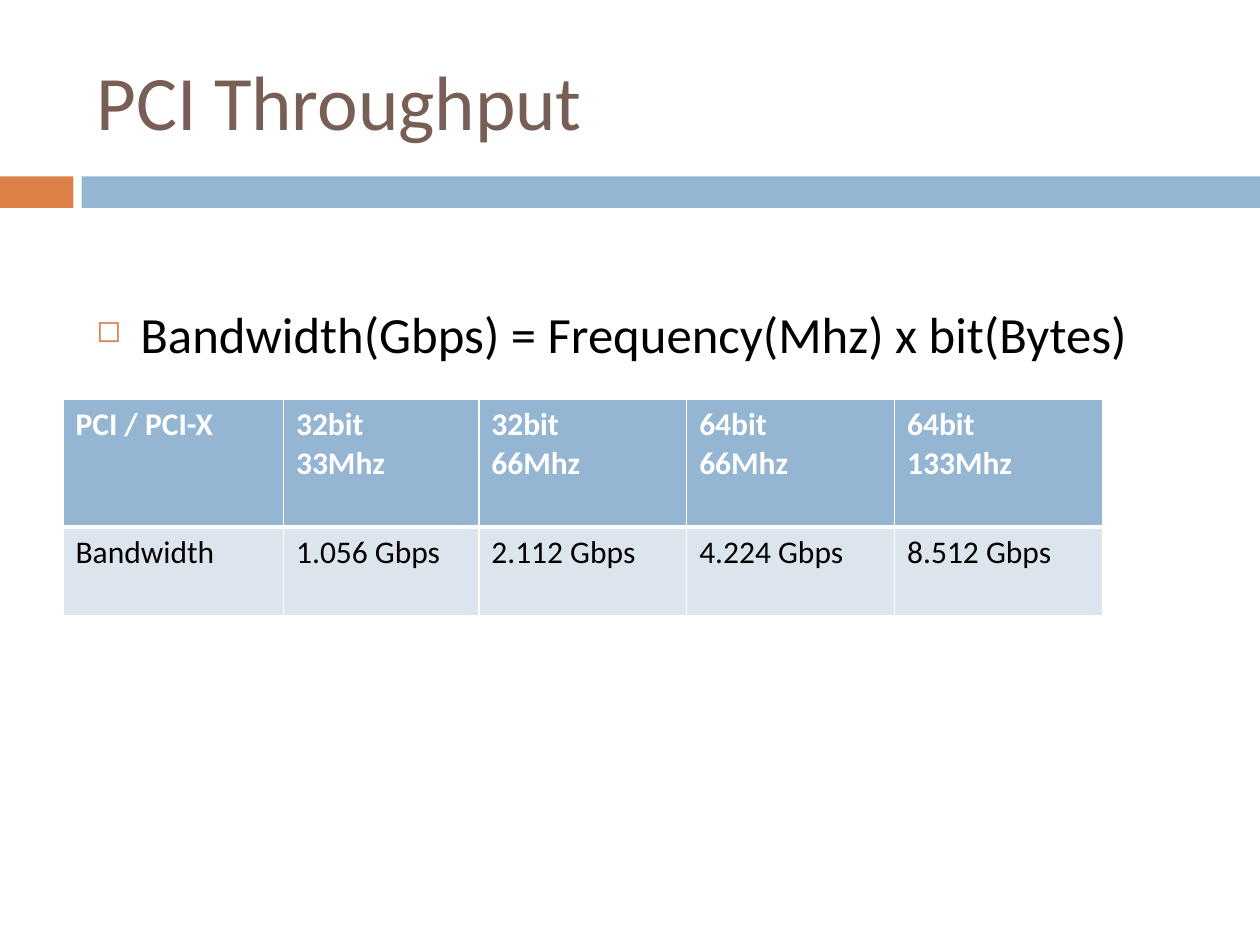
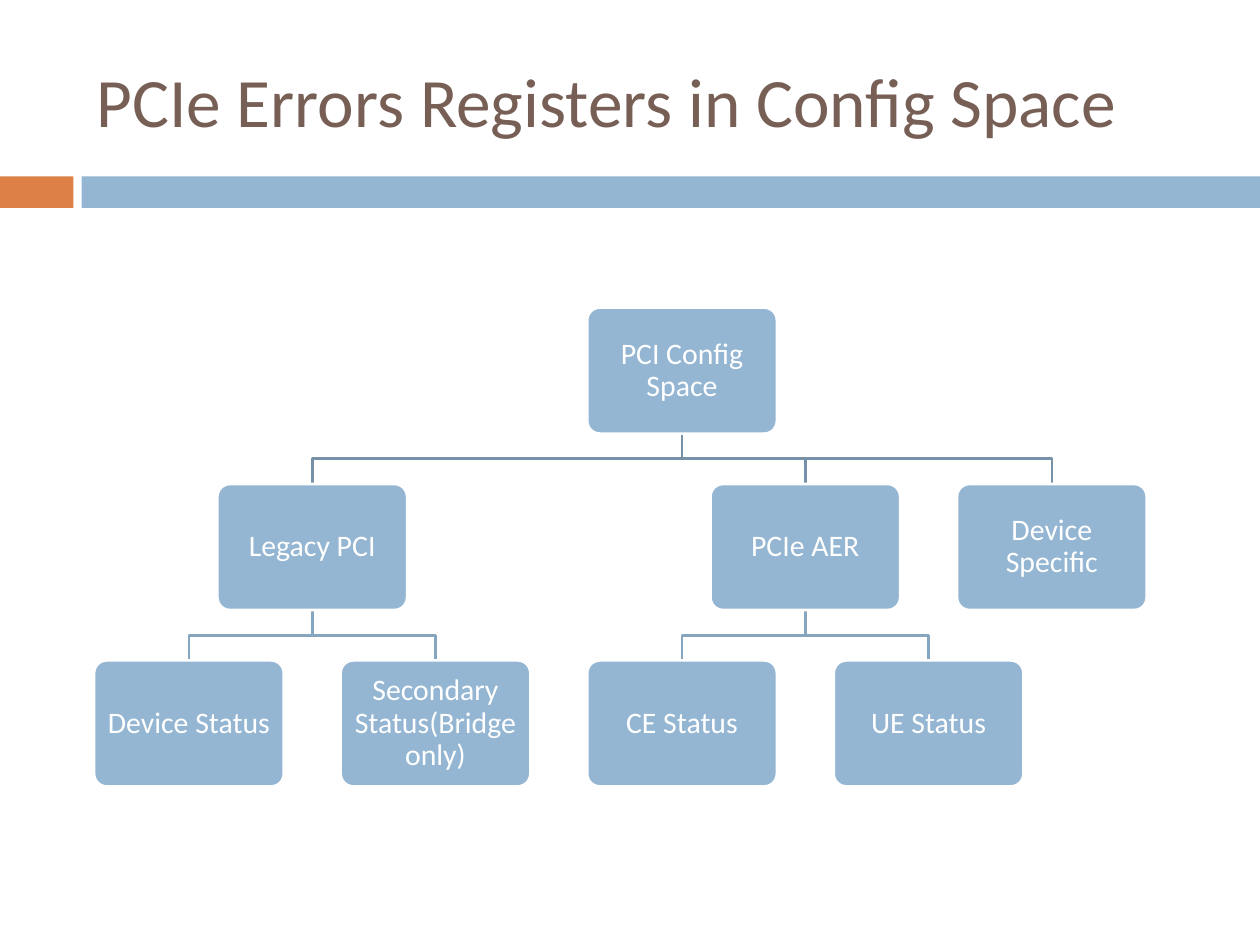
from lxml.etree import SubElement
from pptx import Presentation
from pptx.dml.color import RGBColor
from pptx.enum.shapes import MSO_SHAPE
from pptx.enum.text import MSO_ANCHOR, MSO_AUTO_SIZE, PP_ALIGN
from pptx.oxml import parse_xml
from pptx.oxml.ns import nsdecls, qn
from pptx.util import Pt

FONT = "Calibri"
BROWN, ORANGE, BLUE, PALE_BLUE = "775F55", "DD8047", "94B6D2", "DCE5EE"
WHITE, BLACK = "FFFFFF", "000000"
UPPER_LINK, LOWER_LINK = "7792A8", "86A5BF"

# Register tree: columns are counted in half pitches from the leftmost node
NODE_W, NODE_H = 108.4, 72
HALF_PITCH, LEVEL_STEP = 70.44, 100.8
TREE_X, TREE_TOP = 108, 175.8


def color(hex_value):
    return RGBColor.from_string(hex_value)


def style_text(paragraph, size, hex_value, bold=False):
    for run in paragraph.runs:
        font = run.font
        font.name, font.size, font.bold = FONT, Pt(size), bold
        font.color.rgb = color(hex_value)


def add_box(slide, kind, x, y, w, h, fill):
    box = slide.shapes.add_shape(kind, Pt(x), Pt(y), Pt(w), Pt(h))
    box.shadow.inherit = False
    box.fill.solid()
    box.fill.fore_color.rgb = color(fill)
    box.line.fill.background()
    return box


def add_titled_slide(deck, heading, size):
    slide = deck.slides.add_slide(deck.slide_layouts[5])
    # Bands under the title
    add_box(slide, MSO_SHAPE.RECTANGLE, 0, 100.8, 42, 18, ORANGE)
    add_box(slide, MSO_SHAPE.RECTANGLE, 46.6, 100.8, 673.4, 18, BLUE)
    # Title
    title = slide.shapes.title
    title.left, title.top, title.width, title.height = Pt(48), Pt(18), Pt(642), Pt(78)
    frame = title.text_frame
    frame.text = heading
    frame.auto_size = MSO_AUTO_SIZE.NONE
    frame.vertical_anchor = MSO_ANCHOR.MIDDLE
    frame.paragraphs[0].alignment = PP_ALIGN.LEFT
    style_text(frame.paragraphs[0], size, BROWN)
    return slide


def add_bullet_line(slide, text, x, y, w, h):
    frame = slide.shapes.add_textbox(Pt(x), Pt(y), Pt(w), Pt(h)).text_frame
    frame.word_wrap = True
    frame.text = text
    paragraph = frame.paragraphs[0]
    properties = paragraph._p.get_or_add_pPr()
    properties.set("marL", str(Pt(25.2)))
    properties.set("indent", str(-Pt(25.2)))
    bullet_color = SubElement(properties, qn("a:buClr"))
    SubElement(bullet_color, qn("a:srgbClr"), val=ORANGE)
    SubElement(properties, qn("a:buSzPct"), val="60000")
    SubElement(properties, qn("a:buChar"), char="◻")
    style_text(paragraph, 29, BLACK)


def set_borders(cell, widths):
    properties = cell._tc.get_or_add_tcPr()
    for position, (side, width) in enumerate(widths.items()):
        properties.insert(position, parse_xml(
            f'<a:ln{side} {nsdecls("a")} w="{Pt(width)}"><a:solidFill>'
            f'<a:srgbClr val="{WHITE}"/></a:solidFill></a:ln{side}>'))


def add_bandwidth_table(slide, rows, x, y, col_widths, row_heights):
    table = slide.shapes.add_table(
        len(rows), len(col_widths), Pt(x), Pt(y),
        Pt(sum(col_widths)), Pt(sum(row_heights))).table
    table.horz_banding = False
    for column, width in zip(table.columns, col_widths):
        column.width = Pt(width)
    for r, (values, height) in enumerate(zip(rows, row_heights)):
        header = r == 0
        table.rows[r].height = Pt(height)
        for c, value in enumerate(values):
            cell = table.cell(r, c)
            cell.text_frame.text = value
            cell.fill.solid()
            cell.fill.fore_color.rgb = color(BLUE if header else PALE_BLUE)
            set_borders(cell, {"L": 1, "R": 1, "T": 1, "B": 3 if header else 1})
            for paragraph in cell.text_frame.paragraphs:
                style_text(paragraph, 18, WHITE if header else BLACK, header)


def node_center(column):
    return TREE_X + column * HALF_PITCH


def add_link(slide, parent_column, child_column, level, line_color):
    """Draw the stepped line from a parent down to a child at the given level."""
    child_top = TREE_TOP + level * LEVEL_STEP
    parent_bottom = child_top - LEVEL_STEP + NODE_H
    middle = (parent_bottom + child_top) / 2
    start, end = node_center(parent_column), node_center(child_column)
    builder = slide.shapes.build_freeform(Pt(start), Pt(parent_bottom))
    builder.add_line_segments(
        [(Pt(start), Pt(middle)), (Pt(end), Pt(middle)), (Pt(end), Pt(child_top))],
        close=False)
    link = builder.convert_to_shape()
    link.shadow.inherit = False
    link.fill.background()
    link.line.color.rgb = color(line_color)
    link.line.width = Pt(1.5)


def add_node(slide, label, column, level):
    node = add_box(slide, MSO_SHAPE.ROUNDED_RECTANGLE,
                   node_center(column) - NODE_W / 2, TREE_TOP + level * LEVEL_STEP,
                   NODE_W, NODE_H, BLUE)
    node.adjustments[0] = 0.1
    node.line.color.rgb = color(WHITE)
    node.line.width = Pt(1.5)
    frame = node.text_frame
    frame.word_wrap = True
    frame.margin_left = frame.margin_right = Pt(4.8)
    frame.margin_top = frame.margin_bottom = Pt(4.8)
    frame.vertical_anchor = MSO_ANCHOR.MIDDLE
    frame.text = label
    paragraph = frame.paragraphs[0]
    paragraph.alignment = PP_ALIGN.CENTER
    paragraph.line_spacing = 0.9
    style_text(paragraph, 17, WHITE)


def add_tree(slide, tree, level=0):
    label, column, children = tree
    for child in children:
        add_link(slide, column, child[1], level + 1,
                 LOWER_LINK if level else UPPER_LINK)
        add_tree(slide, child, level + 1)
    add_node(slide, label, column, level)


def main():
    deck = Presentation()
    deck.slide_width, deck.slide_height = Pt(720), Pt(540)

    # Throughput formula and table
    throughput = add_titled_slide(deck, "PCI Throughput", 44)
    add_bullet_line(throughput, "Bandwidth(Gbps) = Frequency(Mhz) x bit(Bytes)",
                    48, 169.2, 642, 43)
    add_bandwidth_table(
        throughput,
        [["PCI / PCI-X", "32bit\n33Mhz", "32bit\n66Mhz", "64bit\n66Mhz", "64bit\n133Mhz"],
         ["Bandwidth", "1.056 Gbps", "2.112 Gbps", "4.224 Gbps", "8.512 Gbps"]],
        36, 228.4, [126, 111.6] + [118.8] * 3, [72.8, 50.8])

    # Tree of error registers: label, column, children
    registers = add_titled_slide(deck, "PCIe Errors Registers in Config Space", 39.6)
    add_tree(registers, ("PCI Config Space", 4, [
        ("Legacy PCI", 1, [
            ("Device Status", 0, []),
            ("Secondary Status(Bridge only)", 2, [])]),
        ("PCIe AER", 5, [
            ("CE Status", 4, []),
            ("UE Status", 6, [])]),
        ("Device Specific", 7, [])]))

    deck.save("out.pptx")


if __name__ == "__main__":
    main()
